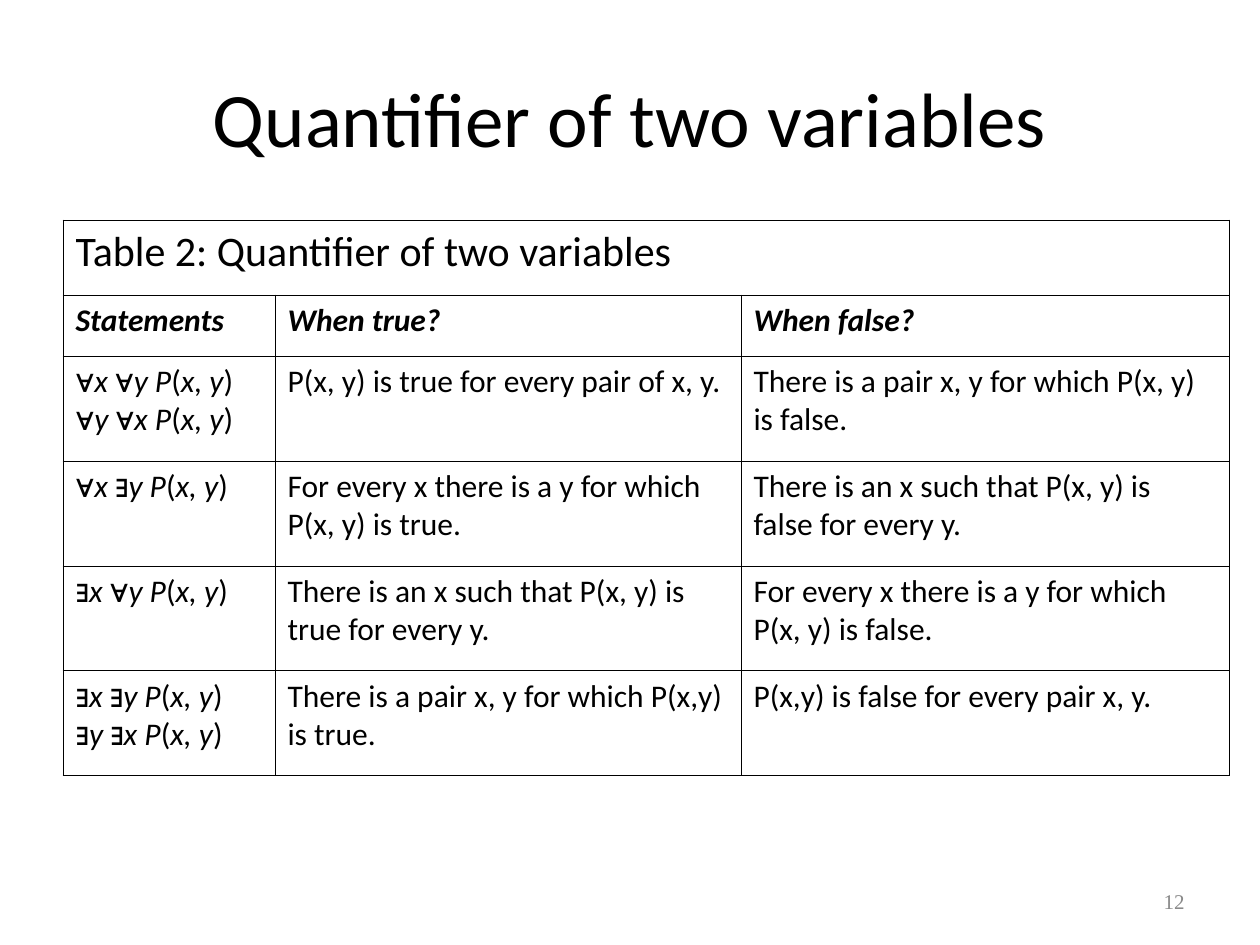
from itertools import groupby

from lxml import etree
from pptx import Presentation
from pptx import util as u
from pptx.dml.color import RGBColor
from pptx.enum import text
from pptx.oxml.ns import qn

PX = 914400 / 126  # EMU per px

THEME = {
    "font": "Calibri", "symbol_font": "Arial", "number_font": "Times New Roman",
    "ink": "000000", "muted": "898989", "paper": "FFFFFF",
    "title": 44, "caption": 24, "body": 18, "number": 12, "rule": 0.45,
}


def px(n):
    return u.Emu(round(n * PX))


def write(tf, content, size=THEME["body"], font=THEME["font"], color=THEME["ink"],
          bold=False, italic=False, formula=False, align=text.PP_ALIGN.LEFT,
          anchor=text.MSO_ANCHOR.TOP):
    """Fill a text frame, one paragraph a line; formulas get italic letters."""
    tf.word_wrap = True
    tf.vertical_anchor = anchor
    for i, line in enumerate(content.split("\n")):
        p = tf.add_paragraph() if i else tf.paragraphs[0]
        p.alignment = align
        pieces = [("plain", line)]
        if formula:
            kinds = groupby(line, lambda ch: "symbol" if ch in "∀∃" else
                            "plain" if ch in "()" else "letter")
            pieces = [(kind, "".join(chars)) for kind, chars in kinds]
        for kind, piece in pieces:
            r = p.add_run()
            r.text = piece
            r.font.size = u.Pt(size)
            r.font.name = THEME["symbol_font"] if kind == "symbol" else font
            r.font.bold = bold
            r.font.italic = italic or kind == "letter"
            r.font.color.rgb = RGBColor.from_string(color)


prs = Presentation()
prs.slide_width, prs.slide_height = px(1260), px(945)
s = prs.slides.add_slide(prs.slide_layouts[6])

# Title
sp = s.shapes.add_textbox(px(63), px(38), px(1134), px(157))
write(sp.text_frame, "Quantifier of two variables", size=THEME["title"],
      align=text.PP_ALIGN.CENTER, anchor=text.MSO_ANCHOR.MIDDLE)

# Table grid
rows = [
    ("Table 2: Quantifier of two variables", "", ""),
    ("Statements", "When true?", "When false?"),
    ("∀x ∀y P(x, y)\n∀y ∀x P(x, y)",
     "P(x, y) is true for every pair of x, y.",
     "There is a pair x, y for which P(x, y) is false."),
    ("∀x ∃y P(x, y)",
     "For every x there is a y for which P(x, y) is true.",
     "There is an x such that P(x, y) is false for every y."),
    ("∃x ∀y P(x, y)",
     "There is an x such that P(x, y) is true for every y.",
     "For every x there is a y for which P(x, y) is false."),
    ("∃x ∃y P(x, y)\n∃y ∃x P(x, y)",
     "There is a pair x, y for which P(x,y) is true.",
     "P(x,y) is false for every pair x, y."),
]
widths = [212, 466, 488]
heights = [75, 61] + [105] * 4
table = s.shapes.add_table(len(rows), len(widths), px(63), px(220),
                           px(sum(widths)), px(sum(heights))).table
table.first_row = table.horz_banding = False
for column, width in zip(table.columns, widths):
    column.width = px(width)
for row, height in zip(table.rows, heights):
    row.height = px(height)
table.cell(0, 0).merge(table.cell(0, len(widths) - 1))

# Table cells
for i, row in enumerate(rows):
    for j, content in enumerate(row):
        cell = table.cell(i, j)
        cell.fill.solid()
        cell.fill.fore_color.rgb = RGBColor.from_string(THEME["paper"])
        tcPr = cell._tc.get_or_add_tcPr()
        for k, edge in enumerate(("a:lnL", "a:lnR", "a:lnT", "a:lnB")):
            ln = etree.Element(qn(edge), w=str(u.Pt(THEME["rule"])))
            fill = etree.SubElement(ln, qn("a:solidFill"))
            etree.SubElement(fill, qn("a:srgbClr"), val=THEME["ink"])
            tcPr.insert(k, ln)
        if content:
            write(cell.text_frame, content,
                  size=THEME["body"] if i else THEME["caption"],
                  bold=i == 1, italic=i == 1, formula=i > 1 and j == 0)

# Slide number
sp = s.shapes.add_textbox(px(903), px(876), px(294), px(50))
write(sp.text_frame, "12", size=THEME["number"], font=THEME["number_font"],
      color=THEME["muted"], align=text.PP_ALIGN.RIGHT,
      anchor=text.MSO_ANCHOR.MIDDLE)

prs.save("out.pptx")
